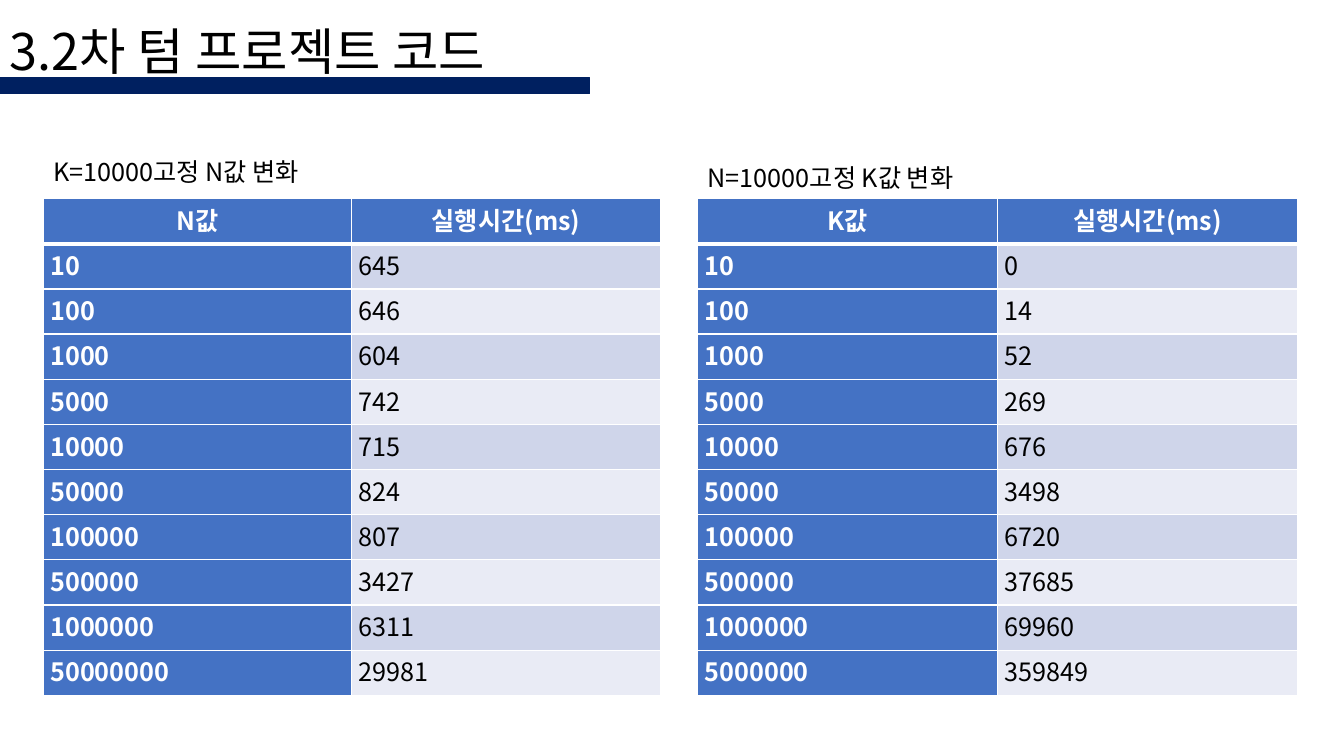
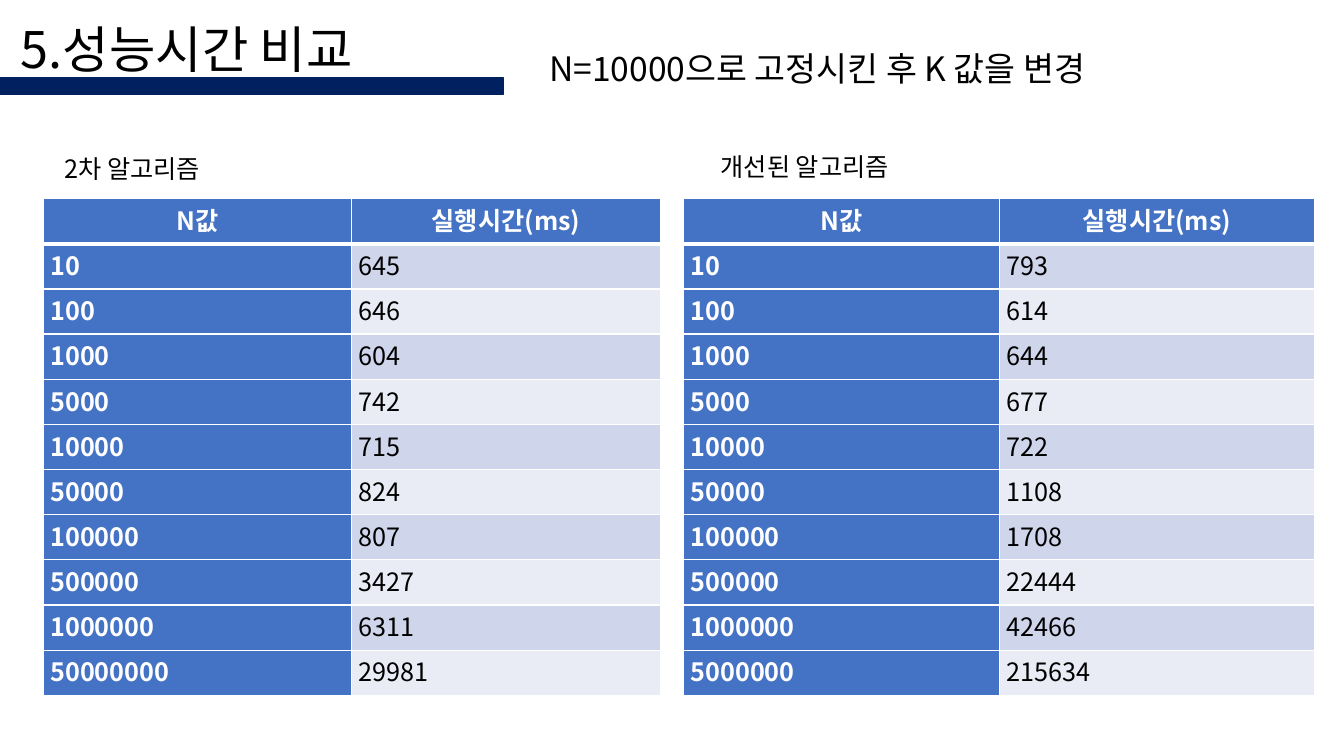
from lxml import etree
from pptx import Presentation
from pptx import util as u
from pptx.dml.color import RGBColor
from pptx.enum import shapes, text
from pptx.oxml.ns import qn

FONT = "Noto Sans CJK KR"
NAVY, BLUE, WHITE, BLACK = "002060", "4472C4", "FFFFFF", "000000"
BANDS = ("CFD5EA", "E9EBF5")
TABLE_TOP, TABLE_H, LEFT_X, LEFT_W = 1.97, 4.93, 0.43, 6.12
CENTER, JUSTIFY, LEFT = (text.PP_ALIGN.CENTER, text.PP_ALIGN.JUSTIFY,
                         text.PP_ALIGN.LEFT)

# Content: steps of N or K, and run times in ms
TIME = "실행시간(ms)"
STEPS = [10, 100, 1000, 5000, 10000, 50000, 100000, 500000, 1000000]
N_STEPS, K_STEPS = STEPS + [50000000], STEPS + [5000000]
SECOND = [645, 646, 604, 742, 715, 824, 807, 3427, 6311, 29981]
BY_K = [0, 14, 52, 269, 676, 3498, 6720, 37685, 69960, 359849]
IMPROVED = [793, 614, 644, 677, 722, 1108, 1708, 22444, 42466, 215634]

SECOND_TABLE = ("N값", N_STEPS, SECOND, LEFT_X, LEFT_W, JUSTIFY)
# Labels: text, left, top, width, height, size
SLIDES = [
    {"band": (5.85, 0.16),
     "labels": [("3.2차 텀 프로젝트 코드", 0, 0.15, 6.19, 0.71, 36),
                ("K=10000고정 N값 변화", 0.43, 1.5, 5.28, 0.4, 18),
                ("N=10000고정 K값 변화", 6.92, 1.56, 5.28, 0.4, 18)],
     "tables": [SECOND_TABLE, ("K값", K_STEPS, BY_K, 6.92, 5.95, LEFT)]},
    {"band": (4.99, 0.17),
     "labels": [("5.성능시간 비교", 0.11, 0.13, 5.39, 0.71, 36),
                ("N=10000으로 고정시킨 후 K 값을 변경", 5.35, 0.43, 7.98, 0.5, 24),
                ("2차 알고리즘", 0.54, 1.47, 4.81, 0.4, 18),
                ("개선된 알고리즘", 7.05, 1.45, 5.35, 0.4, 18)],
     "tables": [SECOND_TABLE,
                ("N값", K_STEPS, IMPROVED, 6.78, 6.26, JUSTIFY)]},
]


def rgb(value):
    return RGBColor.from_string(value)


def inches(*values):
    return [u.Inches(v) for v in values]


def add_run(p, words, size, color=BLACK, bold=False):
    r = p.add_run()
    r.text = str(words)
    r.font.size, r.font.bold, r.font.name = u.Pt(size), bold, FONT
    r.font.color.rgb = rgb(color)
    etree.SubElement(r.font._element, qn("a:ea"), typeface=FONT)


def add_band(s, width, height):
    sp = s.shapes.add_shape(shapes.MSO_SHAPE.RECTANGLE,
                            *inches(0, 0.77, width, height))
    sp.shadow.inherit = False
    sp.fill.solid()
    sp.fill.fore_color.rgb = sp.line.color.rgb = rgb(NAVY)
    sp.line.width = u.Pt(1)


def add_label(s, words, left, top, width, height, size):
    tf = s.shapes.add_textbox(*inches(left, top, width, height)).text_frame
    tf.word_wrap = True
    tf.auto_size = text.MSO_AUTO_SIZE.SHAPE_TO_FIT_TEXT
    add_run(tf.paragraphs[0], words, size)


def set_borders(cell, **widths):
    tc_pr = cell._tc.get_or_add_tcPr()
    for side in "LRTB":
        ln = etree.SubElement(tc_pr, qn("a:ln" + side),
                              w=str(u.Pt(widths.get(side, 1))))
        fill = etree.SubElement(ln, qn("a:solidFill"))
        etree.SubElement(fill, qn("a:srgbClr"), val=WHITE)


def add_times(s, name, steps, times, left, width, align):
    rows = [(name, TIME), *zip(steps, times)]
    table = s.shapes.add_table(
        len(rows), 2, *inches(left, TABLE_TOP, width, TABLE_H)).table
    table.first_row = table.horz_banding = False
    for i, row in enumerate(rows):
        for j, value in enumerate(row):
            cell = table.cell(i, j)
            head = i == 0 or j == 0
            # A thick rule parts the header from the body
            set_borders(cell, B=1 if i else 3, T=3 if i == 1 else 1)
            cell.fill.solid()
            cell.fill.fore_color.rgb = rgb(BLUE if head else BANDS[(i - 1) % 2])
            cell.margin_left = cell.margin_right = u.Inches(0.07)
            cell.margin_top = cell.margin_bottom = 0
            p = cell.text_frame.paragraphs[0]
            p.alignment = align if i else CENTER
            p.line_spacing, p.space_after = 1.07, u.Pt(8)
            add_run(p, value, 18, WHITE if head else BLACK, head)


def main():
    prs = Presentation()
    prs.slide_width, prs.slide_height = inches(13.33, 7.5)
    for content in SLIDES:
        s = prs.slides.add_slide(prs.slide_layouts[6])
        add_band(s, *content["band"])
        for label in content["labels"]:
            add_label(s, *label)
        for table in content["tables"]:
            add_times(s, *table)
    prs.save("out.pptx")


if __name__ == "__main__":
    main()
